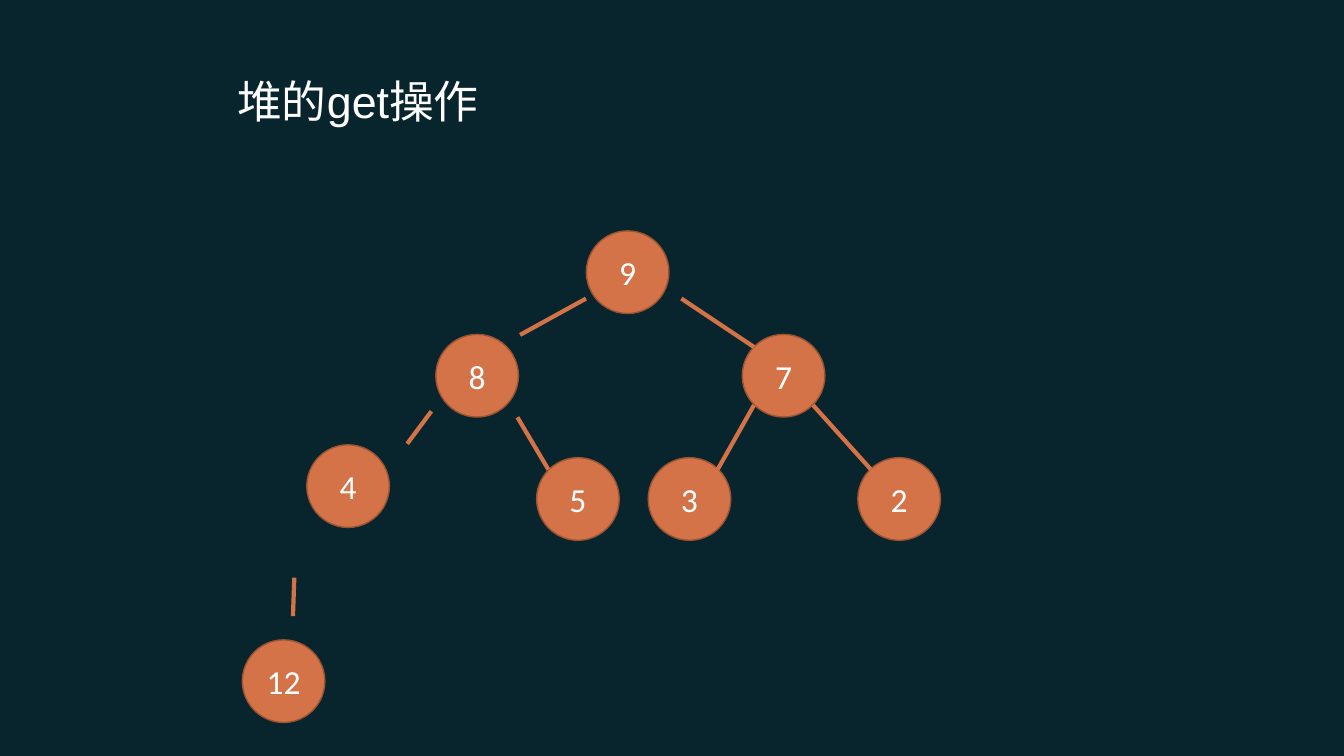
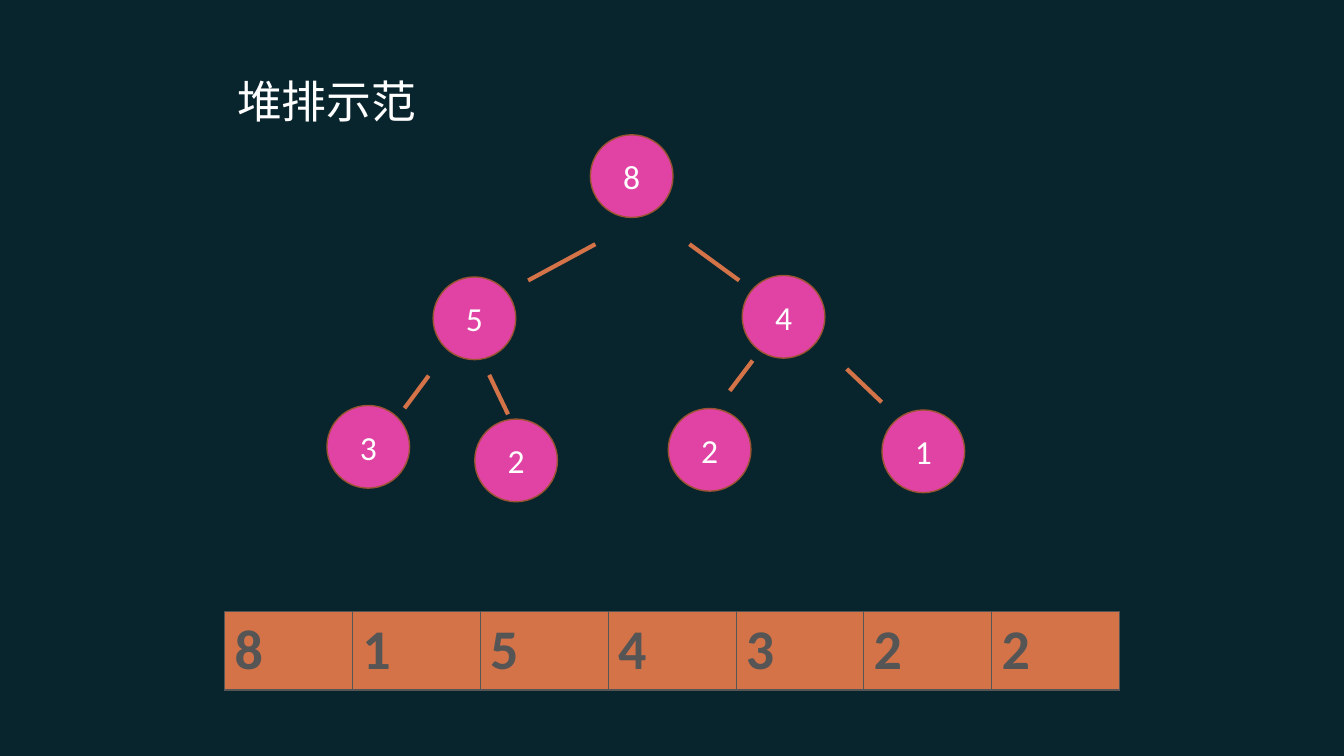
from lxml.etree import SubElement as Sub
from pptx import Presentation
from pptx.dml.color import RGBColor as RGB
from pptx.enum.shapes import MSO_CONNECTOR as Link, MSO_SHAPE as Shape
from pptx.enum.text import MSO_ANCHOR as Anchor, MSO_AUTO_SIZE as Fit, PP_ALIGN as Align
from pptx.oxml.ns import qn
from pptx.util import Inches, Pt

DARK = RGB(0x08, 0x25, 0x2D)
WHITE = RGB(0xFF, 0xFF, 0xFF)
GREY = RGB(0x55, 0x55, 0x55)
CLAY = RGB(0xD4, 0x73, 0x48)
RUST = RGB(0x9B, 0x53, 0x32)
PINK = RGB(0xE0, 0x43, 0xA3)


class Deck:
    ball = Inches(0.82)
    edges = {"lnL": 0.45, "lnR": 0.45, "lnT": 0.45, "lnB": 1.47}

    def __init__(self):
        self.prs = Presentation()
        self.prs.slide_width = Inches(13.34)
        self.prs.slide_height = Inches(7.5)
        ground = self.prs.slide_master.background.fill
        ground.solid()
        ground.fore_color.rgb = DARK

    def col(self, share):
        return round(self.prs.slide_width * share / 100)

    def row(self, share):
        return round(self.prs.slide_height * share / 100)

    def box(self, left, top, wide, high):
        return self.col(left), self.row(top), self.col(wide), self.row(high)

    def label(self, frame, text, size, face, color, bold=False, align=Align.LEFT):
        frame.text = text
        para = frame.paragraphs[0]
        para.alignment = align
        font = para.runs[0].font
        font.size = Pt(size)
        font.name = face
        font.bold = bold
        font.color.rgb = color

    def page(self, text):
        self.slide = self.prs.slides.add_slide(self.prs.slide_layouts[5])
        title = self.slide.shapes.title
        title.left, title.top, title.width, title.height = self.box(16.9, 8, 59.6, 10.5)
        frame = title.text_frame
        frame.auto_size = Fit.NONE
        frame.vertical_anchor = Anchor.MIDDLE
        self.label(frame, text, 32, "Arial", WHITE)

    def node(self, text, x, y, color):
        half = self.ball // 2
        node = self.slide.shapes.add_shape(
            Shape.OVAL, self.col(x) - half, self.row(y) - half, self.ball, self.ball)
        node.shadow.inherit = False
        node.fill.solid()
        node.fill.fore_color.rgb = color
        node.line.color.rgb = RUST
        node.line.width = Pt(1)
        frame = node.text_frame
        frame.word_wrap = True
        frame.vertical_anchor = Anchor.MIDDLE
        self.label(frame, text, 24, "Calibri", WHITE, align=Align.CENTER)

    def edge(self, x1, y1, x2, y2):
        edge = self.slide.shapes.add_connector(
            Link.STRAIGHT, self.col(x1), self.row(y1), self.col(x2), self.row(y2))
        edge.line.color.rgb = CLAY
        edge.line.width = Pt(3)
        Sub(edge._element.spPr, qn("a:effectLst"))

    def tree(self, nodes, edges, color):
        for text, x, y in nodes:
            self.node(text, x, y, color)
        for ends in edges:
            self.edge(*ends)

    def border(self, cell):
        props = cell._tc.get_or_add_tcPr()
        for side, width in self.edges.items():
            line = Sub(props, qn("a:" + side), w=str(Pt(width)))
            fill = Sub(line, qn("a:solidFill"))
            Sub(fill, qn("a:srgbClr"), val=str(GREY))

    def array(self, items, *area):
        table = self.slide.shapes.add_table(1, len(items), *self.box(*area)).table
        table.first_row = False
        table.horz_banding = False
        for cell, text in zip(table.rows[0].cells, items):
            self.border(cell)
            cell.fill.solid()
            cell.fill.fore_color.rgb = CLAY
            self.label(cell.text_frame, text, 40, "Calibri", GREY, bold=True)


deck = Deck()

deck.page("堆的get操作")
deck.tree(
    [("12", 21.1, 90.1), ("9", 46.7, 36), ("7", 58.3, 49.7), ("8", 35.5, 49.7),
     ("5", 43, 66), ("3", 51.3, 66), ("2", 66.9, 66), ("4", 25.9, 64.3)],
    [(43.6, 39.5, 38.7, 44.3), (32.1, 54.4, 30.3, 58.7),
     (21.9, 76.4, 21.8, 81.5), (50.7, 39.5, 56.1, 45.9),
     (38.5, 55.2, 40.8, 62.1), (56.1, 53.6, 53.4, 62.1),
     (60.5, 53.6, 64.8, 62.1)],
    CLAY)

deck.page("堆排示范")
deck.tree(
    [("5", 35.3, 42.1), ("4", 58.3, 41.9), ("8", 47, 23.3), ("2", 38.4, 60.9),
     ("3", 27.4, 59.1), ("2", 52.8, 59.5), ("1", 68.7, 59.7)],
    [(44.3, 32.3, 39.3, 37.1), (31.9, 49.7, 30.1, 54),
     (51.3, 32.3, 55, 37.1), (36.4, 49.6, 37.8, 54.8),
     (56, 47.7, 54.3, 51.7), (63, 48.8, 65.6, 53.2)],
    PINK)
deck.array("8154322", 16.7, 80.9, 66.6, 10.3)

deck.prs.save("out.pptx")
